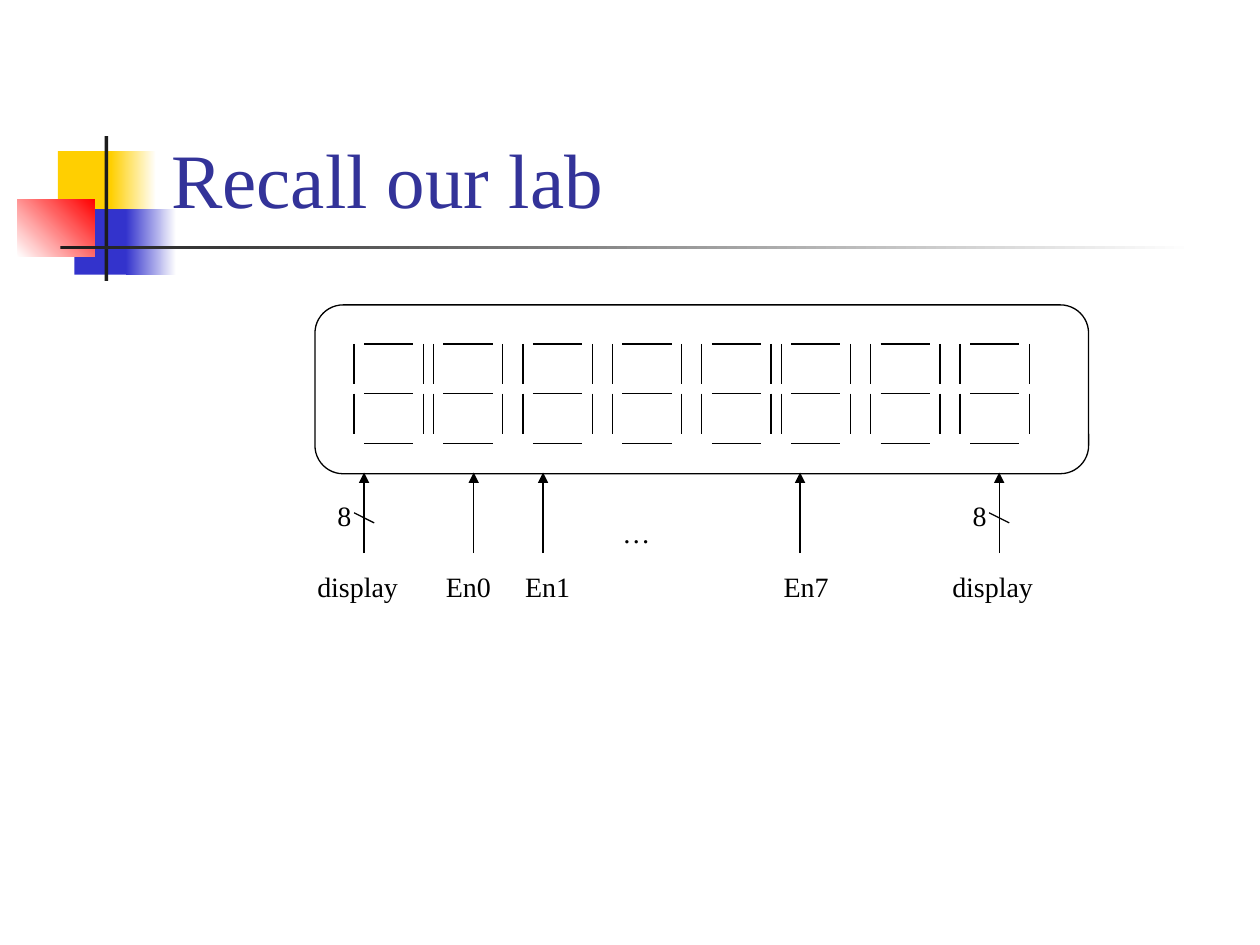
import pptx
import pptx.util
import pptx.dml.color
import pptx.enum.shapes
import pptx.enum.text
import pptx.oxml.ns
import pptx.oxml.xmlchemy

Inches = pptx.util.Inches
RGB = pptx.dml.color.RGBColor
SHAPE = pptx.enum.shapes.MSO_SHAPE
ANCHOR = pptx.enum.text.MSO_ANCHOR
make = pptx.oxml.xmlchemy.OxmlElement

BLACK = RGB(0x00, 0x00, 0x00)
WHITE = RGB(0xFF, 0xFF, 0xFF)
YELLOW = RGB(0xFF, 0xCF, 0x01)
BLUE = RGB(0x33, 0x33, 0xCC)
RED = RGB(0xFF, 0x00, 0x00)
DARK = RGB(0x1C, 0x1C, 0x1C)
NAVY = RGB(0x33, 0x33, 0x99)
FONT = "Times New Roman"

# Left edge of each digit, and size of its strokes
DIGITS = (2.81, 3.44, 4.15, 4.86, 5.57, 6.2, 6.91, 7.62)
TOP, ROW, WIDE = 2.73, 0.395, 0.55
GAP, LONG, TALL = 0.08, 0.39, 0.32


def write(frame, text, size=16, color=BLACK, anchor=ANCHOR.TOP, wrap=False):
    frame.text = text
    frame.word_wrap = wrap
    frame.vertical_anchor = anchor
    frame.auto_size = pptx.enum.text.MSO_AUTO_SIZE.NONE
    para = frame.paragraphs[0]
    para.alignment = pptx.enum.text.PP_ALIGN.LEFT
    font = para.runs[0].font
    font.name, font.size = FONT, pptx.util.Pt(size)
    font.color.rgb = color


def label(slide, text, x, y, w):
    box = slide.shapes.add_textbox(*map(Inches, (x, y, w, 0.37)))
    write(box.text_frame, text)


def block(slide, place, color, end=None, angle=0):
    """Plain bar, or one that fades from color to end."""
    bar = slide.shapes.add_shape(SHAPE.RECTANGLE, *map(Inches, place))
    bar.shadow.inherit = False
    bar.line.fill.background()
    if end is None:
        bar.fill.solid()
        bar.fill.fore_color.rgb = color
    else:
        bar.fill.gradient()
        bar.fill.gradient_angle = angle
        for stop, tint in zip(bar.fill.gradient_stops, (color, end)):
            stop.color.rgb = tint


def line(slide, x1, y1, x2, y2, arrow=False):
    link = slide.shapes.add_connector(
        pptx.enum.shapes.MSO_CONNECTOR.STRAIGHT, *map(Inches, (x1, y1, x2, y2)))
    link.line.color.rgb = BLACK
    link.line.width = pptx.util.Pt(0.75)
    props = link._element.spPr
    if arrow:
        tip = make("a:tailEnd")
        tip.set("type", "triangle")
        props.find(pptx.oxml.ns.qn("a:ln")).append(tip)
    props.append(make("a:effectLst"))


def digit(slide, x):
    for row in range(3):
        y = TOP + row * ROW
        line(slide, x + GAP, y, x + GAP + LONG, y)
        if row < 2:
            for side in (x, x + WIDE):
                line(slide, side, y, side, y + TALL)


def panel(slide):
    case = slide.shapes.add_shape(
        SHAPE.ROUNDED_RECTANGLE, *map(Inches, (2.5, 2.42, 6.14, 1.34)))
    case.adjustments[0] = 0.167
    case.shadow.inherit = False
    case.fill.background()
    case.line.color.rgb = BLACK
    case.line.width = pptx.util.Pt(0.75)


def signal(slide, text, x, left, width):
    line(slide, x, 4.39, x, 3.75, arrow=True)
    label(slide, text, left, 4.47, width)


def bus(slide, x):
    signal(slide, "display", x, x - 0.47, 0.84)
    line(slide, x - 0.08, 4.07, x + 0.08, 4.15)
    label(slide, "8", x - 0.31, 3.91, 0.31)


def motif(slide):
    block(slide, (0.46, 1.2, 0.48, 0.52), YELLOW)
    block(slide, (0.88, 1.2, 0.36, 0.52), YELLOW, WHITE)
    block(slide, (0.59, 1.66, 0.46, 0.52), BLUE)
    block(slide, (1, 1.66, 0.4, 0.52), BLUE, WHITE)
    block(slide, (0.14, 1.58, 0.61, 0.46), WHITE, RED, angle=45)
    block(slide, (0.83, 1.08, 0.03, 1.15), DARK)
    block(slide, (0.48, 1.95, 9, 0.03), DARK, WHITE)


def main():
    deck = pptx.Presentation()
    deck.slide_width, deck.slide_height = Inches(10), Inches(7.5)
    slide = deck.slides.add_slide(deck.slide_layouts[5])

    # Title and its ornament
    motif(slide)
    title = slide.shapes.title
    title.left, title.top = Inches(1.26), Inches(0.23)
    title.width, title.height = Inches(8.52), Inches(1.6)
    write(title.text_frame, "Recall our lab", size=44, color=NAVY,
          anchor=ANCHOR.BOTTOM, wrap=True)

    # Eight seven-segment digits in their case
    for x in DIGITS:
        digit(slide, x)
    panel(slide)

    # Input signals
    for x in (2.89, 7.93):
        bus(slide, x)
    for text, x, left in (("En0", 3.76, 3.44), ("En1", 4.31, 4.07),
                          ("En7", 6.35, 6.12)):
        signal(slide, text, x, left, 0.55)
    label(slide, "…", 4.84, 4.04, 0.42)

    deck.save("out.pptx")


if __name__ == "__main__":
    main()
